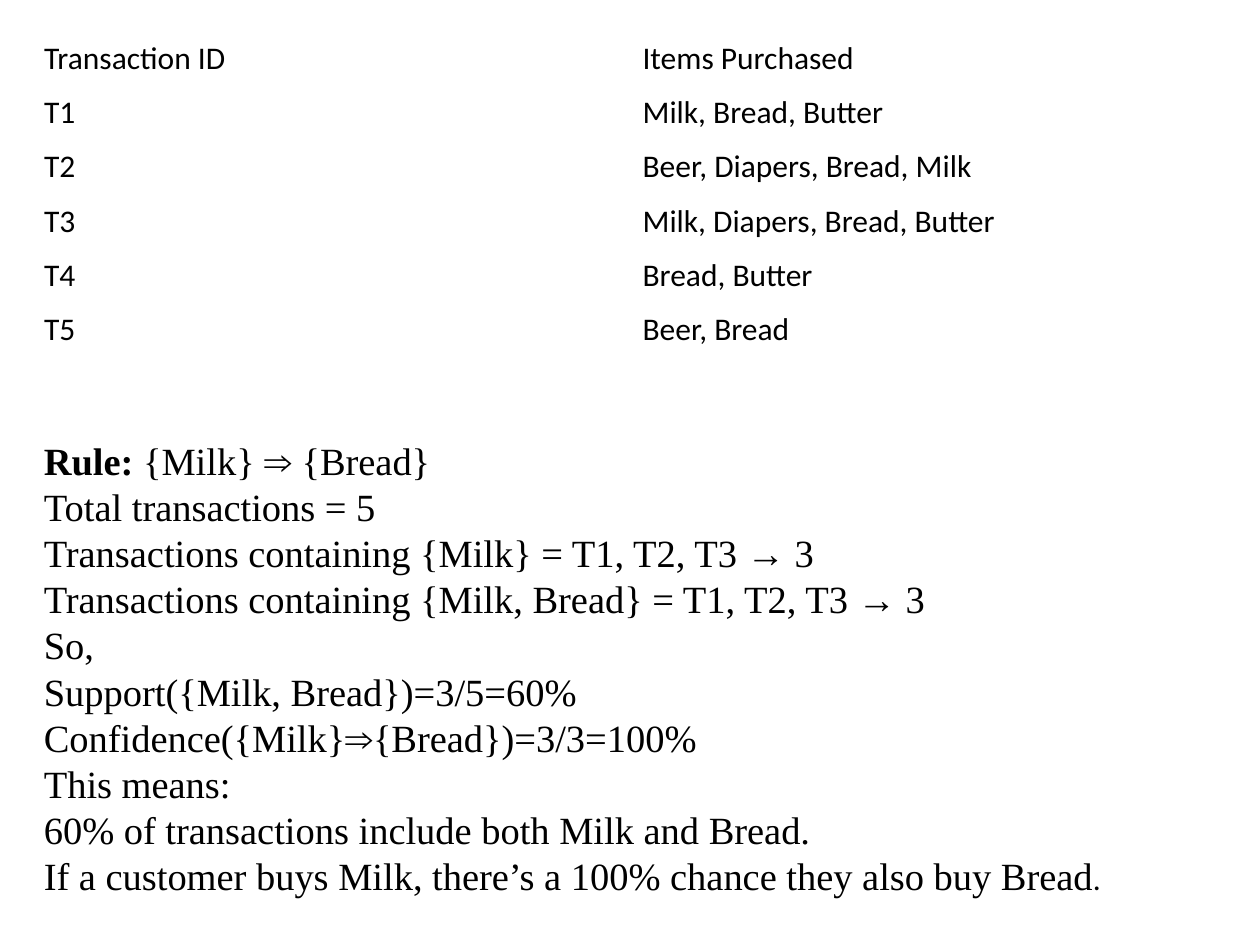
from dataclasses import dataclass

from pptx import Presentation
from pptx.dml.color import RGBColor
from pptx.enum.text import MSO_ANCHOR, MSO_AUTO_SIZE, PP_ALIGN
from pptx.util import Pt


@dataclass(frozen=True)
class Theme:
    ink: RGBColor = RGBColor(0, 0, 0)
    table_font: str = "Calibri"
    table_size: int = 18
    body_font: str = "Times New Roman"
    body_size: int = 22


THEME = Theme()
LEFT = 18

TRANSACTIONS = [
    ("Transaction ID", "Items Purchased"),
    ("T1", "Milk, Bread, Butter"),
    ("T2", "Beer, Diapers, Bread, Milk"),
    ("T3", "Milk, Diapers, Bread, Butter"),
    ("T4", "Bread, Butter"),
    ("T5", "Beer, Bread"),
]

EXPLANATION = [
    "Total transactions = 5",
    "Transactions containing {Milk} = T1, T2, T3 → 3",
    "Transactions containing {Milk, Bread} = T1, T2, T3 → 3",
    "So, ",
    "Support({Milk, Bread})=3/5=60%",
    "Confidence({Milk}⇒{Bread})=3/3=100%",
    "This means:",
    "60% of transactions include both Milk and Bread.",
    "If a customer buys Milk, there’s a 100% chance they also buy Bread",
]


def add_run(p, text, font=THEME.body_font, size=THEME.body_size, bold=False):
    r = p.add_run()
    r.text = text
    r.font.name = font
    r.font.size = Pt(size)
    r.font.bold = bold
    r.font.color.rgb = THEME.ink


def add_transactions(s, rows):
    width, row_height = 684, 31
    table = s.shapes.add_table(len(rows), len(rows[0]), Pt(LEFT), Pt(18),
                               Pt(width), Pt(row_height * len(rows))).table
    table.first_row = False
    table.horz_banding = False
    for row, values in zip(table.rows, rows):
        row.height = Pt(row_height)
        for cell, value in zip(row.cells, values):
            cell.fill.background()
            cell.vertical_anchor = MSO_ANCHOR.MIDDLE
            add_run(cell.text_frame.paragraphs[0], value,
                    THEME.table_font, THEME.table_size)


def add_explanation(s, lines):
    """Write the rule, then its support and confidence worked out line by line."""
    tf = s.shapes.add_textbox(Pt(LEFT), Pt(246), Pt(654), Pt(273.6)).text_frame
    tf.word_wrap = True
    tf.auto_size = MSO_AUTO_SIZE.SHAPE_TO_FIT_TEXT
    p = tf.paragraphs[0]
    add_run(p, "Rule:", bold=True)
    add_run(p, " {Milk} ⇒ {Bread}")
    for line in lines:
        p = tf.add_paragraph()
        add_run(p, line)
    add_run(p, ".", THEME.table_font, THEME.table_size)
    for p in tf.paragraphs:
        p.alignment = PP_ALIGN.JUSTIFY


def main():
    prs = Presentation()
    prs.slide_width, prs.slide_height = Pt(720), Pt(540)
    s = prs.slides.add_slide(prs.slide_layouts[6])
    add_transactions(s, TRANSACTIONS)
    add_explanation(s, EXPLANATION)
    prs.save("out.pptx")


if __name__ == "__main__":
    main()
